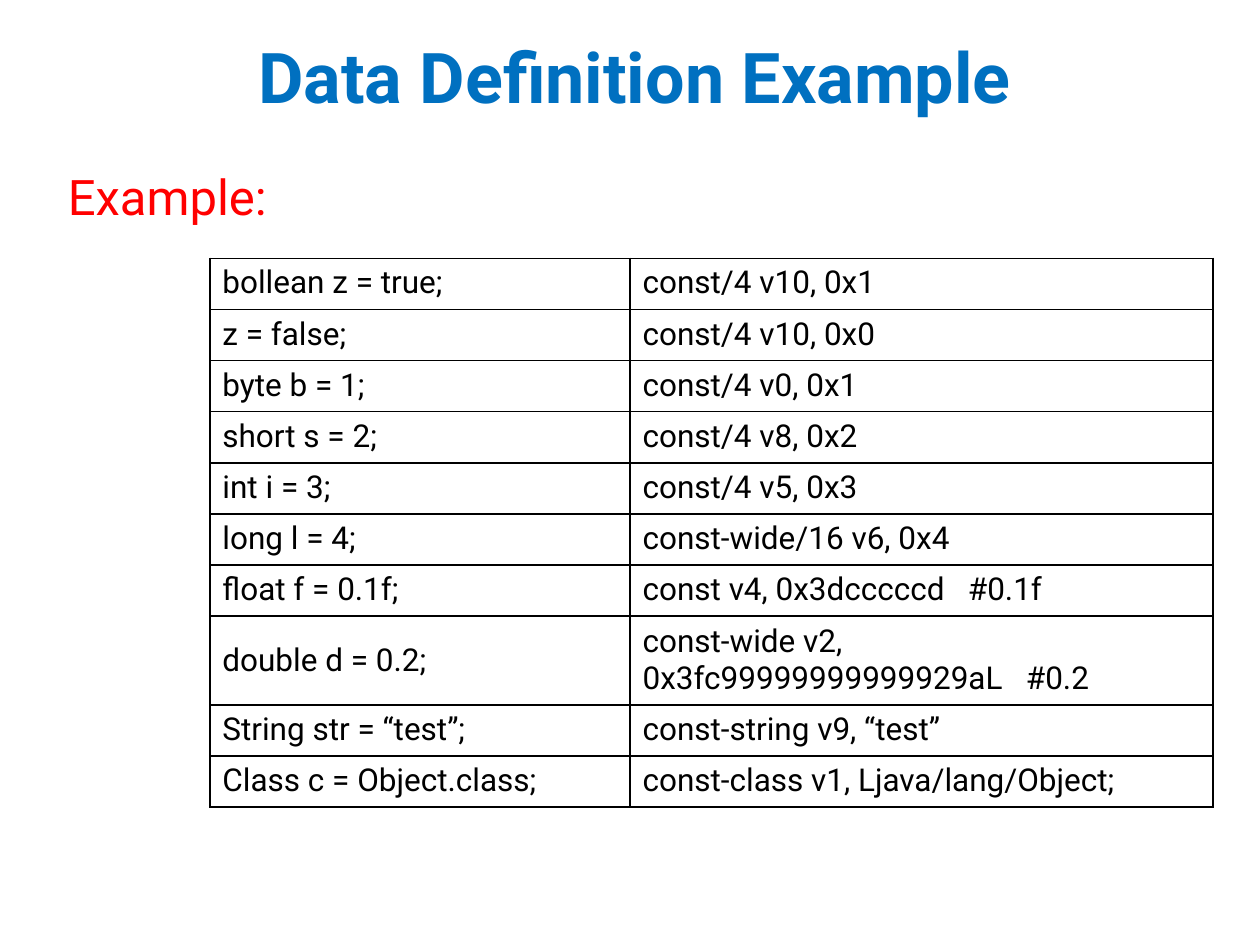
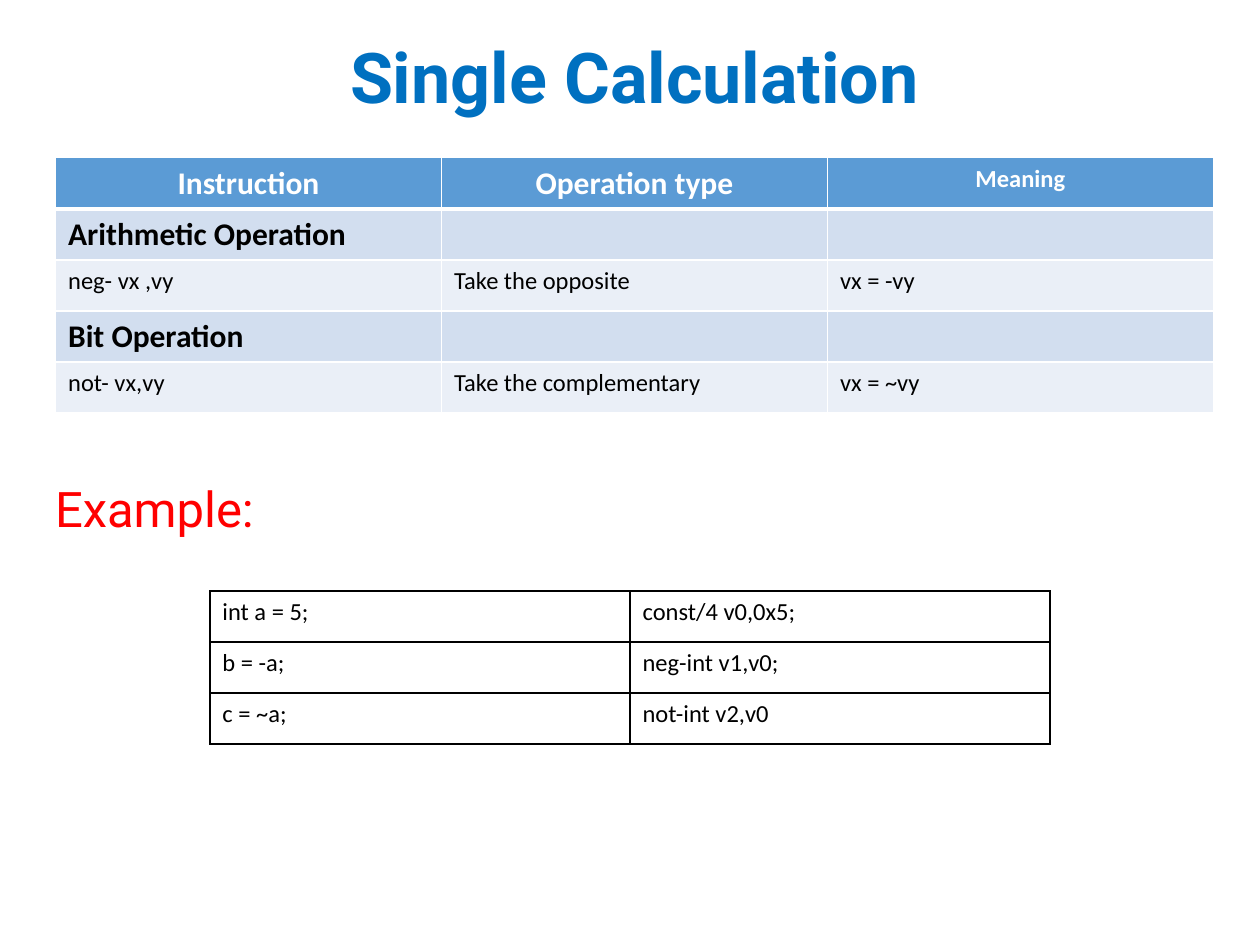
from lxml import etree
from pptx import Presentation
from pptx.dml.color import RGBColor
from pptx.enum.text import MSO_ANCHOR as ANCHOR, MSO_AUTO_SIZE as AUTO_SIZE, PP_ALIGN as ALIGN
from pptx.oxml.ns import qn
from pptx.util import Cm, Pt

BLUE = RGBColor(0x00, 0x70, 0xC0)
RED = RGBColor(0xFF, 0x00, 0x00)
BLACK = RGBColor(0x00, 0x00, 0x00)
WHITE = RGBColor(0xFF, 0xFF, 0xFF)
HEADER_FILL = RGBColor(0x5B, 0x9B, 0xD5)
GROUP_FILL = RGBColor(0xD2, 0xDE, 0xEF)
ROW_FILL = RGBColor(0xEA, 0xEF, 0xF7)

TITLE_FONT, TABLE_FONT = "Roboto", "Calibri"
MARGIN, CONTENT_W = Cm(1.12), Cm(23.34)
CODE_LEFT, CODE_COL = Cm(4.23), Cm(8.47)
ROW_H, TALL_ROW_H = Cm(1.03), Cm(1.79)

DEFINITIONS = [
    ("bollean z = true;", "const/4 v10, 0x1"),
    ("z = false;", "const/4 v10, 0x0"),
    ("byte b = 1;", "const/4 v0, 0x1"),
    ("short s = 2;", "const/4 v8, 0x2"),
    ("int i = 3;", "const/4 v5, 0x3"),
    ("long l = 4;", "const-wide/16 v6, 0x4"),
    ("float f = 0.1f;", "const v4, 0x3dcccccd   #0.1f"),
    ("double d = 0.2;", "const-wide v2, 0x3fc99999999999929aL   #0.2"),
    ("String str = “test”;", "const-string v9, “test”"),
    ("Class c = Object.class;", "const-class v1, Ljava/lang/Object;"),
]
DOUBLE_ROW = 7

INSTRUCTIONS = [
    ("Instruction", "Operation type", "Meaning"),
    ("Arithmetic Operation", "", ""),
    ("neg- vx ,vy", "Take the opposite", "vx = -vy"),
    ("Bit Operation", "", ""),
    ("not- vx,vy", "Take the complementary", "vx = ~vy"),
]

CALCULATIONS = [
    ("int a = 5;", "const/4 v0,0x5;"),
    ("b = -a;", "neg-int v1,v0;"),
    ("c = ~a;", "not-int v2,v0"),
]


def write(tf, text, font, size, color, bold=False, align=ALIGN.LEFT):
    """Put one formatted paragraph into a text frame and return it."""
    tf.text = text
    p = tf.paragraphs[0]
    p.alignment = align
    for target in (p, *p.runs):
        target.font.name = font
        target.font.size = Pt(size)
        target.font.bold = bold
        target.font.color.rgb = color
    return p


def add_title(s, text):
    """Add the centred slide title."""
    tf = s.shapes.add_textbox(MARGIN, Cm(0.61), CONTENT_W, Cm(2.06)).text_frame
    tf.word_wrap = True
    tf.vertical_anchor = ANCHOR.MIDDLE
    write(tf, text, TITLE_FONT, 40, BLUE, True, ALIGN.CENTER).line_spacing = 0.9


def add_example_label(s, left, top):
    """Add the red label that introduces an example."""
    tf = s.shapes.add_textbox(left, top, Cm(4.67), Cm(1.45)).text_frame
    tf.word_wrap = False
    tf.auto_size = AUTO_SIZE.SHAPE_TO_FIT_TEXT
    write(tf, "Example:", TITLE_FONT, 28, RED)


def set_borders(cell, color, top=1, bottom=1):
    """Draw the four borders of a cell, with widths in points."""
    tc_pr = cell._tc.get_or_add_tcPr()
    for side, width in (("L", 1), ("R", 1), ("T", top), ("B", bottom)):
        ln = etree.SubElement(tc_pr, qn(f"a:ln{side}"), w=str(Pt(width)))
        fill = etree.SubElement(ln, qn("a:solidFill"))
        etree.SubElement(fill, qn("a:srgbClr"), val=str(color))


def add_plain_table(s, rows, left, top, widths):
    """Add a table with its text still unset and no banding."""
    table = s.shapes.add_table(len(rows), len(widths), left, top,
                               sum(widths), ROW_H * len(rows)).table
    table.first_row = table.horz_banding = False
    for column, width in zip(table.columns, widths):
        column.width = width
    for row in table.rows:
        row.height = ROW_H
    return table


def add_code_table(s, rows, top, widths, font, size):
    """Add a black grid that pairs source code with bytecode."""
    table = add_plain_table(s, rows, CODE_LEFT, top, widths)
    for r, texts in enumerate(rows):
        for c, text in enumerate(texts):
            cell = table.cell(r, c)
            set_borders(cell, BLACK)
            cell.fill.background()
            write(cell.text_frame, text, font, size, BLACK)
    return table


def add_instruction_table(s, rows, top):
    """Add the banded table of instructions with group rows."""
    widths = [CONTENT_W // 3] * 3
    table = add_plain_table(s, rows, MARGIN, top, widths)
    for r, texts in enumerate(rows):
        header, group = r == 0, not texts[1]
        for c, text in enumerate(texts):
            cell = table.cell(r, c)
            set_borders(cell, WHITE, top=3 if r == 1 else 1, bottom=3 if header else 1)
            cell.fill.solid()
            cell.fill.fore_color.rgb = (
                HEADER_FILL if header else GROUP_FILL if group else ROW_FILL)
            size = 18 if group or (header and c < 2) else 14
            write(cell.text_frame, text, TABLE_FONT, size,
                  WHITE if header else BLACK, header or group,
                  ALIGN.CENTER if header else ALIGN.LEFT)


def add_definition_slide(prs):
    """Build the slide of data definitions."""
    s = prs.slides.add_slide(prs.slide_layouts[6])
    add_title(s, "Data Definition Example")
    add_example_label(s, MARGIN, Cm(3.23))
    table = add_code_table(s, DEFINITIONS, Cm(5.21), [CODE_COL, Cm(11.75)], TITLE_FONT, 18)
    table.rows[DOUBLE_ROW].height = TALL_ROW_H
    for cell in table.rows[DOUBLE_ROW].cells:
        cell.vertical_anchor = ANCHOR.MIDDLE


def add_calculation_slide(prs):
    """Build the slide of single-operand calculations."""
    s = prs.slides.add_slide(prs.slide_layouts[6])
    add_title(s, "Single Calculation")
    add_instruction_table(s, INSTRUCTIONS, Cm(3.18))
    add_example_label(s, Cm(0.86), Cm(9.53))
    add_code_table(s, CALCULATIONS, Cm(11.91), [CODE_COL] * 2, TABLE_FONT, 14)


def main():
    """Create the presentation and save it."""
    prs = Presentation()
    prs.slide_width, prs.slide_height = Cm(25.4), Cm(19.05)
    add_definition_slide(prs)
    add_calculation_slide(prs)
    prs.save("out.pptx")


if __name__ == "__main__":
    main()
